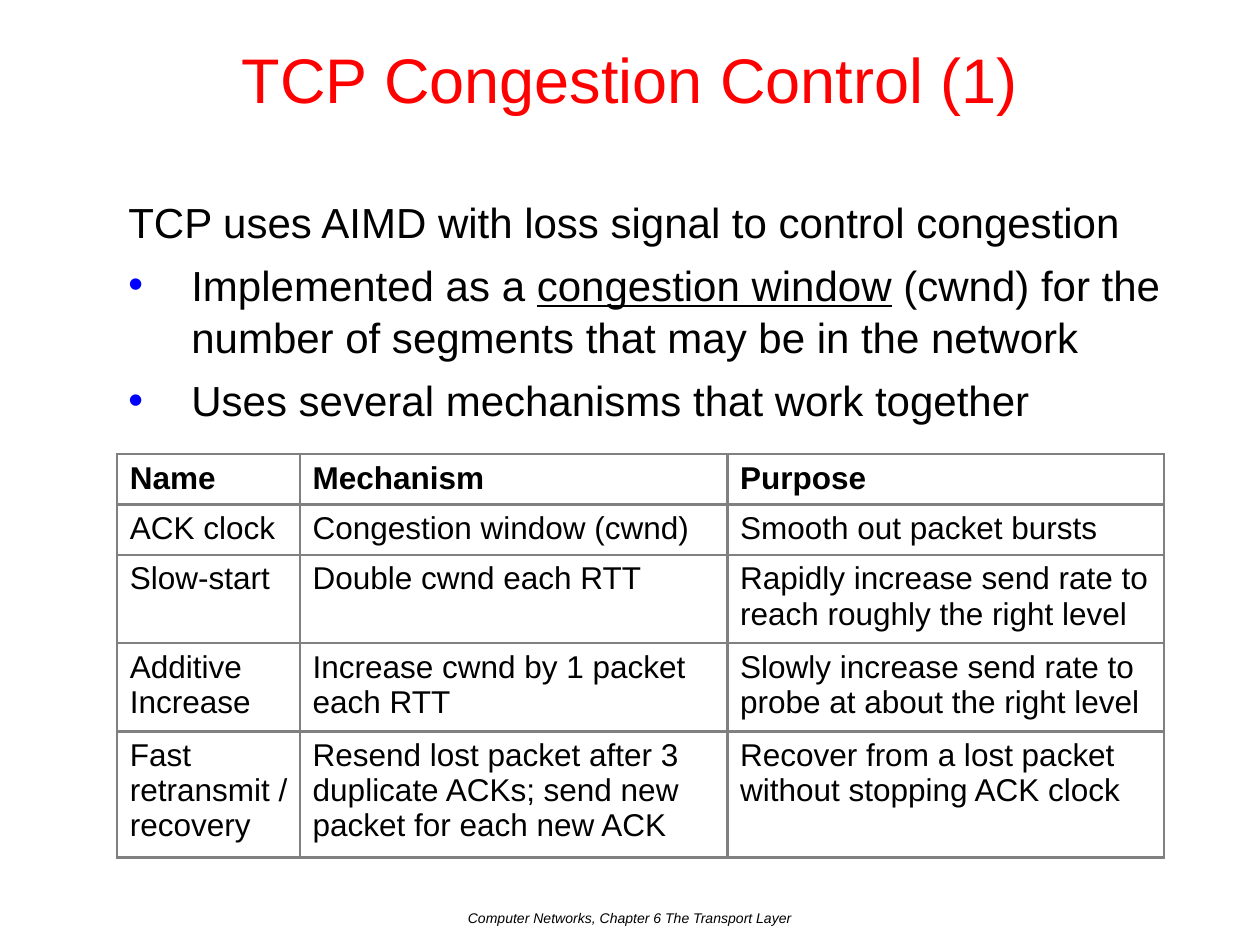
from lxml import etree
from pptx import Presentation
from pptx.dml.color import RGBColor
from pptx.enum.text import MSO_ANCHOR, PP_ALIGN
from pptx.oxml.ns import qn
from pptx.util import Pt

CENTER, LEFT = PP_ALIGN.CENTER, PP_ALIGN.LEFT
TOP, MIDDLE = MSO_ANCHOR.TOP, MSO_ANCHOR.MIDDLE
RED = RGBColor(0xFF, 0x00, 0x00)
BLACK = RGBColor(0x00, 0x00, 0x00)
BLUE = RGBColor(0x00, 0x00, 0xFF)
GRAY = RGBColor(0x80, 0x80, 0x80)
WHITE = RGBColor(0xFF, 0xFF, 0xFF)


def add_run(p, text, color=BLACK, **formats):
    r = p.add_run()
    r.text = text
    r.font.color.rgb = color
    for name, value in {"name": "Arial", **formats}.items():
        setattr(r.font, name, value)


def add_box(s, left, top, width, height, anchor=TOP):
    tf = s.shapes.add_textbox(Pt(left), Pt(top), Pt(width), Pt(height)).text_frame
    tf.word_wrap = True
    tf.vertical_anchor = anchor
    return tf


prs = Presentation()
prs.slide_width, prs.slide_height = Pt(720), Pt(540)
s = prs.slides.add_slide(prs.slide_layouts[6])

# Title and footer
p = add_box(s, 0, 0, 720, 90, MIDDLE).paragraphs[0]
p.alignment = CENTER
add_run(p, "TCP Congestion Control (1)", RED, size=Pt(36))

p = add_box(s, 0, 516.25, 720, 23.75).paragraphs[0]
p.alignment = CENTER
add_run(p, "Computer Networks, Chapter 6 The Transport Layer", size=Pt(8), italic=True)

# Body: a lead line, then bullets; each run is (text, underlined)
body = [
    [("TCP uses AIMD with loss signal to control congestion", False)],
    [("Implemented as a ", False), ("congestion window", True),
     (" (cwnd) for the number of segments that may be in the network", False)],
    [("Uses several mechanisms that work together", False)],
]
tf = add_box(s, 66.25, 107.5, 613.5, 362)
for i, runs in enumerate(body):
    p = tf.add_paragraph() if i else tf.paragraphs[0]
    p.alignment = LEFT
    p.line_spacing = 1.04
    p.space_before = Pt(6 if i else 18)
    for text, underline in runs:
        add_run(p, text, size=Pt(24), underline=underline)
    if i:
        p.level = 1
        pPr = p._p.get_or_add_pPr()
        pPr.set("marL", str(Pt(36)))
        pPr.set("indent", str(-Pt(36)))
        bu_clr = etree.SubElement(pPr, qn("a:buClr"))
        etree.SubElement(bu_clr, qn("a:srgbClr"), val=str(BLUE))
        etree.SubElement(pPr, qn("a:buFont"), typeface="Arial")
        etree.SubElement(pPr, qn("a:buChar"), char="•")

# Table of mechanisms
rows = [
    ("Name", "Mechanism", "Purpose"),
    ("ACK clock", "Congestion window (cwnd)", "Smooth out packet bursts"),
    ("Slow-start", "Double cwnd each RTT",
     "Rapidly increase send rate to reach roughly the right level"),
    ("Additive Increase", "Increase cwnd by 1 packet each RTT",
     "Slowly increase send rate to probe at about the right level"),
    ("Fast retransmit / recovery",
     "Resend lost packet after 3 duplicate ACKs; send new packet for each new ACK",
     "Recover from a lost packet without stopping ACK clock"),
]
col_widths = [104.5, 244.25, 249.5]
row_heights = [28.8, 28.8, 50.4, 50.4, 72]
table = s.shapes.add_table(len(rows), len(col_widths), Pt(67), Pt(259.5),
                           Pt(sum(col_widths)), Pt(sum(row_heights))).table
for col, width in zip(table.columns, col_widths):
    col.width = Pt(width)
for row, height in zip(table.rows, row_heights):
    row.height = Pt(height)

for i, texts in enumerate(rows):
    for j, text in enumerate(texts):
        cell = table.cell(i, j)
        add_run(cell.text_frame.paragraphs[0], text, size=Pt(18), bold=i == 0)
        # Borders come before the fill in the cell properties
        tcPr = cell._tc.get_or_add_tcPr()
        for side in ("a:lnL", "a:lnR", "a:lnT", "a:lnB"):
            ln = etree.SubElement(tcPr, qn(side), w=str(Pt(1.5)))
            fill = etree.SubElement(ln, qn("a:solidFill"))
            etree.SubElement(fill, qn("a:srgbClr"), val=str(GRAY))
        cell.fill.solid()
        cell.fill.fore_color.rgb = WHITE

prs.save("out.pptx")
